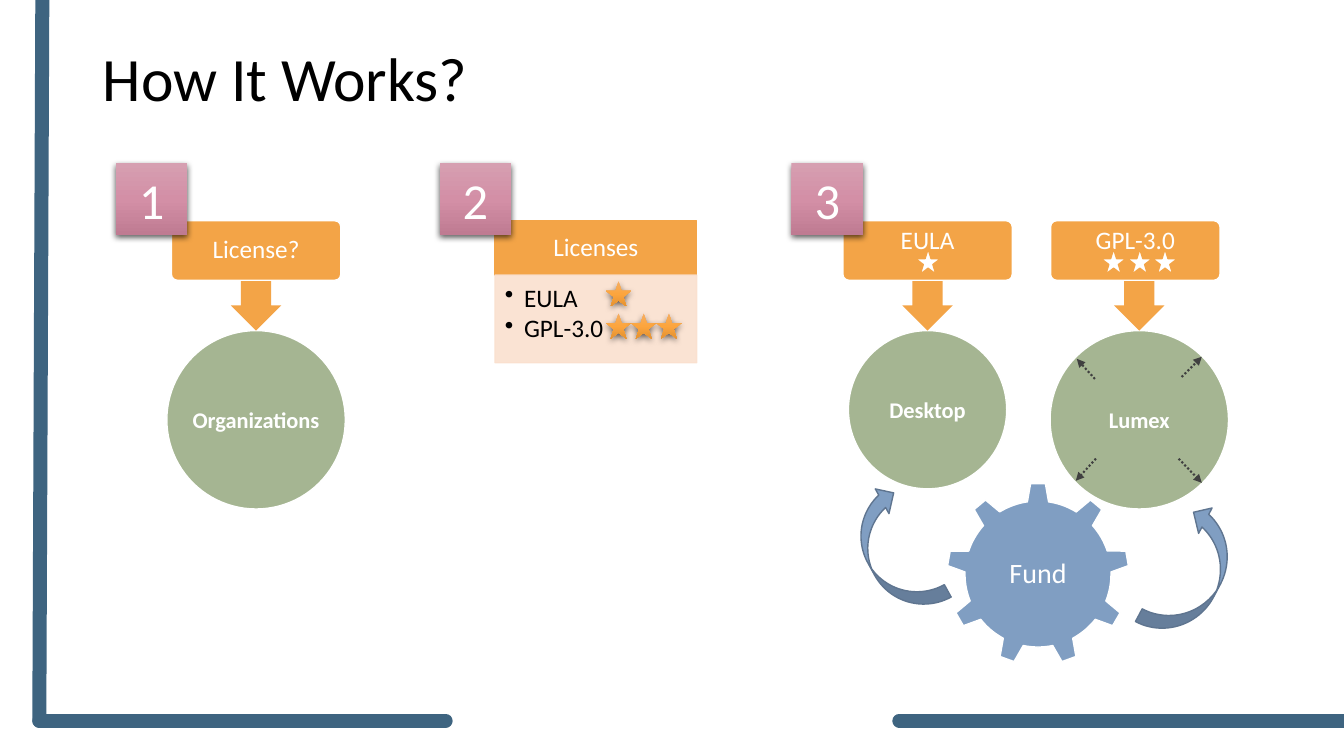
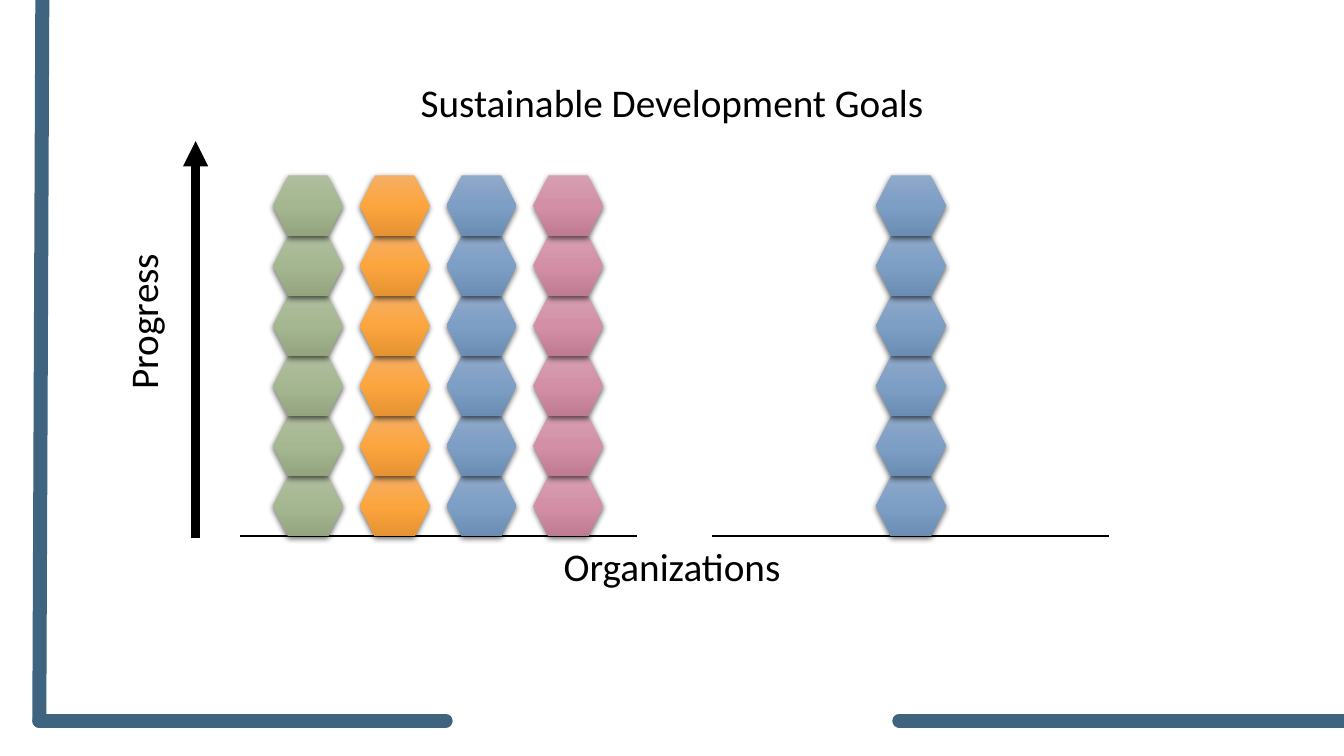
from lxml import etree
from pptx import Presentation
from pptx.dml.color import RGBColor
from pptx.enum.dml import MSO_LINE
from pptx.enum.shapes import MSO_CONNECTOR, MSO_SHAPE
from pptx.enum.text import MSO_ANCHOR, PP_ALIGN
from pptx.oxml.ns import qn
from pptx.util import Inches, Pt

STRAIGHT = MSO_CONNECTOR.STRAIGHT
DOTTED = MSO_LINE.ROUND_DOT
RECTANGLE = MSO_SHAPE.RECTANGLE
ROUNDED = MSO_SHAPE.ROUNDED_RECTANGLE
OVAL = MSO_SHAPE.OVAL
DOWN_ARROW = MSO_SHAPE.DOWN_ARROW
CURVED_DOWN = MSO_SHAPE.CURVED_DOWN_ARROW
CURVED_RIGHT = MSO_SHAPE.CURVED_RIGHT_ARROW
GEAR = MSO_SHAPE.GEAR_9
STAR = MSO_SHAPE.STAR_5_POINT
HEXAGON = MSO_SHAPE.HEXAGON
TOP, MIDDLE = MSO_ANCHOR.TOP, MSO_ANCHOR.MIDDLE
LEFT, CENTER = PP_ALIGN.LEFT, PP_ALIGN.CENTER

FONT = "Calibri"
BLACK, WHITE, GRAY = "000000", "FFFFFF", "404040"
FRAME, ORANGE, PEACH = "3E6480", "F3A447", "FAE0CF"
GREEN, BLUE, BLUE_EDGE = "A5B592", "809EC2", "5F7590"
GREEN_SHADES = ("AFBD9E", "A5B790", "93A47E")
ORANGE_SHADES = ("F6AE64", "FCA53E", "E59332")
BLUE_SHADES = ("8FA9C9", "7D9EC5", "6B8CB3")
PINK_SHADES = ("D69FB1", "D38FA6", "BF7B92")
FRAME_LINES = (
    (0.42, 0, 0.39, 7.15),
    (4.42, 7.15, 0.39, 7.15),
    (13.33, 7.15, 8.92, 7.15),
)


def color(value):
    return RGBColor.from_string(value)


def apply(target, values):
    for name, value in values.items():
        setattr(target, name, value)


def add_xml(parent, tag, **attributes):
    return etree.SubElement(parent, qn(tag), attributes)


class Deck:
    def __init__(self):
        self.presentation = Presentation()
        self.presentation.slide_width = Inches(13.33)
        self.presentation.slide_height = Inches(7.5)
        self.slide = None

    def add_slide(self):
        layout = self.presentation.slide_layouts[6]
        self.slide = self.presentation.slides.add_slide(layout)
        for points in FRAME_LINES:
            self.line(points, FRAME, 10, rounded=True)

    def line(self, points, stroke, width, dash=None, arrow=False, rounded=False):
        ends = [Inches(value) for value in points]
        connector = self.slide.shapes.add_connector(STRAIGHT, *ends)
        connector.line.color.rgb = color(stroke)
        connector.line.width = Pt(width)
        if dash:
            connector.line.dash_style = dash
        properties = connector._element.spPr
        outline = properties.find(qn("a:ln"))
        if rounded:
            outline.set("cap", "rnd")
        if arrow:
            add_xml(outline, "a:tailEnd", type="triangle")
        add_xml(properties, "a:effectLst")

    def shape(self, kind, box, fill, edge=None, rotation=0, adjust=(), alpha=None):
        lengths = [Inches(value) for value in box]
        shape = self.slide.shapes.add_shape(kind, *lengths)
        shape.shadow.inherit = False
        shape.rotation = rotation
        for index, value in enumerate(adjust):
            shape.adjustments[index] = value
        shape.fill.solid()
        shape.fill.fore_color.rgb = color(fill)
        if edge:
            shape.line.color.rgb = color(edge)
            shape.line.width = Pt(1)
        else:
            shape.line.fill.background()
        if alpha:
            for tint in shape._element.spPr.iter(qn("a:srgbClr")):
                add_xml(tint, "a:alpha", val=str(alpha * 1000))
        return shape

    def glossy(self, kind, box, shades):
        shape = self.shape(kind, box, shades[1])
        shape.fill.gradient()
        shape.fill.gradient_angle = 270
        properties = shape._element.spPr
        stops = properties.find(qn("a:gradFill")).find(qn("a:gsLst"))
        for stop in list(stops):
            stops.remove(stop)
        for position, shade in zip((0, 50000, 100000), shades):
            stop = add_xml(stops, "a:gs", pos=str(position))
            add_xml(stop, "a:srgbClr", val=shade)
        shadow = add_xml(
            properties.find(qn("a:effectLst")), "a:outerShdw",
            blurRad=str(Pt(4.5)), dist=str(Pt(1.5)), dir="5400000",
            algn="ctr", rotWithShape="0",
        )
        tint = add_xml(shadow, "a:srgbClr", val=BLACK)
        add_xml(tint, "a:alpha", val="63000")
        return shape

    def label(self, shape, lines, size, ink=WHITE, bold=False, align=CENTER,
              anchor=MIDDLE, margins=(0.1, 0.05, 0.1, 0.05), wrap=True,
              spacing=1, bullets=False):
        left, top, right, bottom = [Inches(value) for value in margins]
        frame = shape.text_frame
        apply(frame, {
            "text": "\n".join(lines), "word_wrap": wrap, "vertical_anchor": anchor,
            "margin_left": left, "margin_top": top,
            "margin_right": right, "margin_bottom": bottom,
        })
        for paragraph in frame.paragraphs:
            apply(paragraph, {"alignment": align, "line_spacing": spacing})
            apply(paragraph.runs[0].font,
                  {"name": FONT, "size": Pt(size), "bold": bold})
            paragraph.runs[0].font.color.rgb = color(ink)
            if bullets:
                paragraph.space_after = Pt(2.7)
                properties = paragraph._p.get_or_add_pPr()
                properties.set("marL", str(Inches(0.19)))
                properties.set("indent", str(Inches(-0.19)))
                add_xml(properties, "a:buChar", char="•")

    def text(self, box, words, size, **options):
        shape = self.slide.shapes.add_textbox(*[Inches(value) for value in box])
        self.label(shape, [words], size, BLACK, **options)
        return shape

    def badge(self, left, number):
        shape = self.glossy(RECTANGLE, (left, 1.62, 0.71, 0.71), PINK_SHADES)
        self.label(shape, [number], 36)

    def license_flow(self, center, offset, heading, target, diameter, anchor):
        circle = self.shape(
            OVAL, (center - diameter / 2, 3.28, diameter, diameter), GREEN, WHITE)
        self.label(circle, [target], 16, bold=True, margins=(0,) * 4, wrap=False)
        self.shape(DOWN_ARROW, (center - 0.25, 2.59, 0.5, 0.69), ORANGE,
                   adjust=(0.6, 0.5))
        box = self.shape(ROUNDED, (center - 0.84 + offset, 2.19, 1.68, 0.59),
                         ORANGE, WHITE, adjust=(0.1,))
        self.label(box, [heading], 18, anchor=anchor, margins=(0.05,) * 4,
                   spacing=0.9)

    def hexagon_column(self, left, shades):
        for level in range(6):
            top = 4.72 - 2.98 * level / 5
            self.glossy(HEXAGON, (left, top, 0.69, 0.6), shades)


def build_process(deck):
    deck.add_slide()
    deck.text((0.92, 0.4, 12.06, 0.82), "How It Works?", 44, align=LEFT, spacing=0.9)

    deck.license_flow(2.54, 0, "License?", "Organizations", 1.77, MIDDLE)
    deck.license_flow(9.2, 0, "EULA", "Desktop", 1.57, TOP)
    deck.license_flow(11.3, -0.04, "GPL-3.0", "Lumex", 1.77, TOP)

    gear = deck.shape(GEAR, (9.39, 4.79, 1.81, 1.81), BLUE, WHITE)
    deck.label(gear, ["Fund"], 20, wrap=False)
    deck.shape(CURVED_DOWN, (8.21, 5.2, 1.32, 0.56), BLUE, BLUE_EDGE, 241.1)
    deck.shape(CURVED_RIGHT, (11.55, 5.01, 0.57, 1.37), BLUE, BLUE_EDGE, 208)

    growth_arrows = (
        (10.86, 3.76, 10.68, 3.56),
        (11.72, 3.74, 11.92, 3.54),
        (10.87, 4.55, 10.67, 4.77),
        (11.69, 4.55, 11.92, 4.79),
    )
    for points in growth_arrows:
        deck.line(points, GRAY, 1.5, DOTTED, arrow=True)
    for left in (9.08, 10.92, 11.18, 11.43):
        deck.shape(STAR, (left, 2.47, 0.25, 0.25), WHITE, ORANGE)

    header = deck.shape(RECTANGLE, (4.91, 2.19, 2, 0.54), ORANGE, ORANGE)
    deck.label(header, ["Licenses"], 18, spacing=0.9)
    ratings = deck.shape(RECTANGLE, (4.91, 2.73, 2, 0.87), PEACH, PEACH, alpha=90)
    deck.label(ratings, ["EULA", "GPL-3.0"], 18, BLACK, align=LEFT, anchor=TOP,
               margins=(0.1, 0.1, 0.14, 0.16), spacing=0.9, bullets=True)
    for top, count in ((2.79, 1), (3.11, 3)):
        for index in range(count):
            deck.glossy(STAR, (6.01 + 0.25 * index, top, 0.25, 0.25), ORANGE_SHADES)

    for left, number in ((1.15, "1"), (4.36, "2"), (7.85, "3")):
        deck.badge(left, number)


def build_goals(deck):
    deck.add_slide()
    deck.line((1.94, 5.34, 1.94, 1.4), BLACK, 6, arrow=True)
    progress = deck.text((1.13, 1.59, 0.67, 3.2), "Progress", 28, anchor=TOP)
    progress.text_frame._txBody.bodyPr.set("vert", "vert270")
    for top, words in ((0.73, "Sustainable Development Goals"), (5.33, "Organizations")):
        deck.text((2.33, top, 8.67, 0.67), words, 28, anchor=TOP)
    for left in (2.38, 7.06):
        deck.line((left, 5.32, left + 3.94, 5.32), BLACK, 1.5)
    columns = (GREEN_SHADES, ORANGE_SHADES, BLUE_SHADES, PINK_SHADES)
    for index, shades in enumerate(columns):
        deck.hexagon_column(2.71 + 0.86 * index, shades)
    deck.hexagon_column(8.69, BLUE_SHADES)


deck = Deck()
build_process(deck)
build_goals(deck)
deck.presentation.save("out.pptx")
